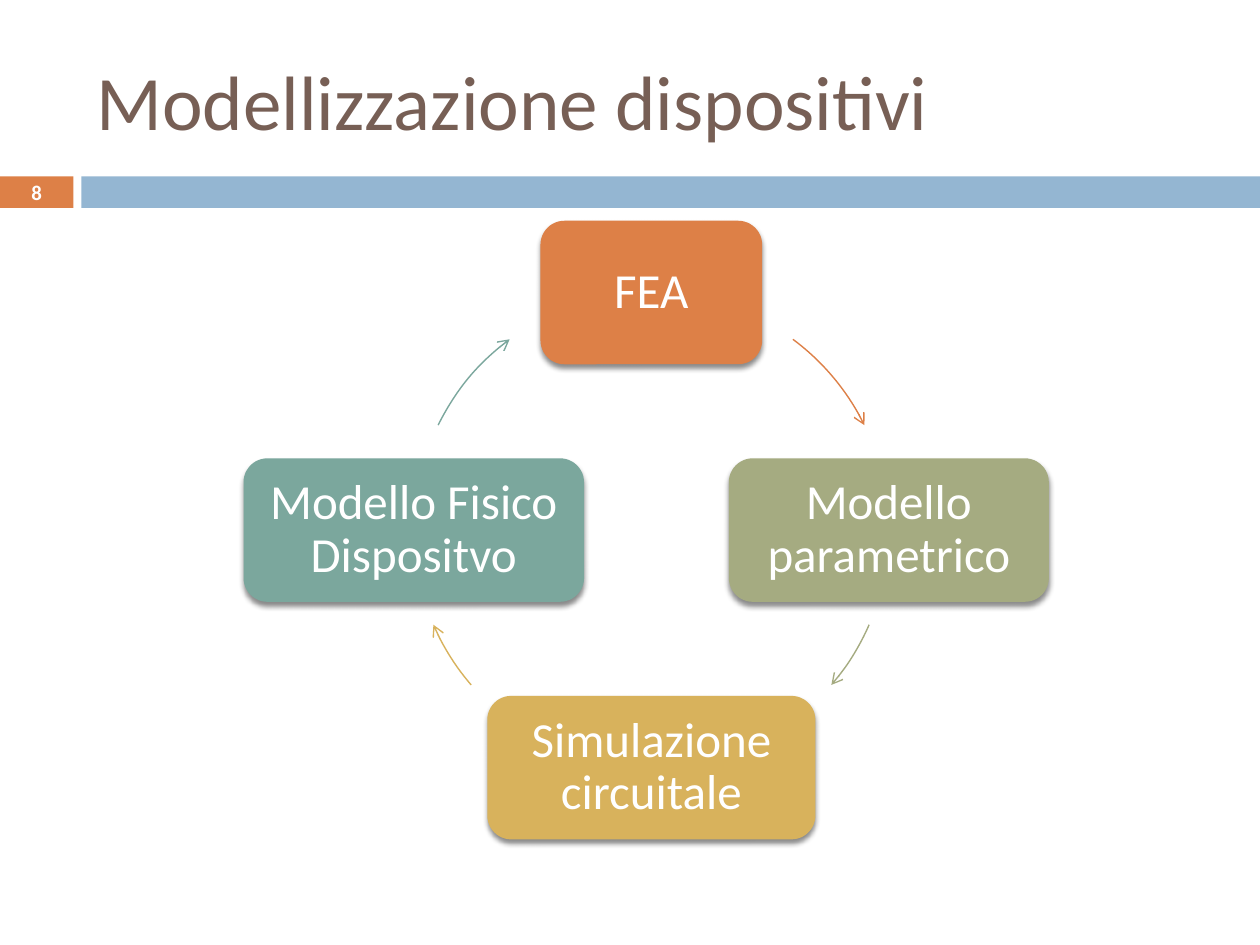
import math
import pptx
import pptx.util
import pptx.dml.color
import pptx.enum.shapes
import pptx.enum.text
import pptx.oxml
import pptx.oxml.ns
from lxml import etree

Pt = pptx.util.Pt
RGB = pptx.dml.color.RGBColor
SHAPE = pptx.enum.shapes.MSO_SHAPE
ALIGN = pptx.enum.text.PP_ALIGN
MIDDLE = pptx.enum.text.MSO_ANCHOR.MIDDLE
qn = pptx.oxml.ns.qn

WHITE = RGB(0xFF, 0xFF, 0xFF)
BROWN = RGB(0x77, 0x5F, 0x55)
ORANGE = RGB(0xDD, 0x80, 0x47)
BLUE = RGB(0x94, 0xB6, 0xD2)
OLIVE = RGB(0xA5, 0xAB, 0x81)
GOLD = RGB(0xD8, 0xB2, 0x5C)
TEAL = RGB(0x7B, 0xA7, 0x9D)

TITLE = "Modellizzazione dispositivi"
NUMBER = "8"
NODES = [
    ("FEA", ORANGE, 126.7, 270, 306.6, 333.8),
    ("Modello parametrico", OLIVE, 182.9, 0, 23.5, 40.7),
    ("Simulazione circuitale", GOLD, 187.5, 90, 139.3, 156.5),
    ("Modello Fisico Dispositvo", TEAL, 194.6, 180, 206.2, 233.4),
]
CX, CY, RADIUS = 372.2, 302.9, 135.75
NODE_H = 82
INSET = 6


def add_box(s, kind, x, y, w, h, color):
    sp = s.shapes.add_shape(kind, Pt(x), Pt(y), Pt(w), Pt(h))
    sp.shadow.inherit = False
    sp.fill.solid()
    sp.fill.fore_color.rgb = color
    sp.line.fill.background()
    return sp


def write(sp, text, size, color, align, inset=None, bold=False):
    tf = sp.text_frame
    tf.word_wrap = True
    tf.vertical_anchor = MIDDLE
    if inset is not None:
        tf.margin_left = tf.margin_right = Pt(inset)
        tf.margin_top = tf.margin_bottom = Pt(inset)
    p = tf.paragraphs[0]
    p.text = text
    p.alignment = align
    p.font.name = "Calibri"
    p.font.size = Pt(size)
    p.font.bold = bold
    p.font.color.rgb = color
    return p


def add_shadow(sp):
    effects = sp._element.spPr.find(qn("a:effectLst"))
    shadow = etree.SubElement(effects, qn("a:outerShdw"), blurRad=str(Pt(3)),
                              dist=str(Pt(2.4)), dir="5400000", rotWithShape="0")
    black = etree.SubElement(shadow, qn("a:srgbClr"), val="000000")
    etree.SubElement(black, qn("a:alpha"), val="45000")


def add_node(s, label, color, width, angle):
    x = CX + RADIUS * math.cos(math.radians(angle))
    y = CY + RADIUS * math.sin(math.radians(angle))
    sp = add_box(s, SHAPE.ROUNDED_RECTANGLE, x - width / 2, y - NODE_H / 2,
                 width, NODE_H, color)
    add_shadow(sp)
    p = write(sp, label, 28, WHITE, ALIGN.CENTER, INSET)
    p.line_spacing = 0.9


def add_arrow(s, color, start, end):
    sp = s.shapes.add_shape(SHAPE.ARC, Pt(CX - RADIUS), Pt(CY - RADIUS),
                            Pt(2 * RADIUS), Pt(2 * RADIUS))
    sp.shadow.inherit = False
    sp.fill.background()
    sp.adjustments[0] = start * 0.6
    sp.adjustments[1] = end * 0.6
    sp.line.color.rgb = color
    sp.line.width = Pt(0.79)
    etree.SubElement(sp.line._get_or_add_ln(), qn("a:tailEnd"), type="arrow")


def main():
    prs = pptx.Presentation()
    prs.slide_width, prs.slide_height = Pt(720), Pt(540)
    s = prs.slides.add_slide(prs.slide_layouts[6])

    number = add_box(s, SHAPE.RECTANGLE, 0, 100.8, 42, 18, ORANGE)
    write(number, NUMBER, 11.9, WHITE, ALIGN.CENTER, 0, True)
    add_box(s, SHAPE.RECTANGLE, 46.5, 100.8, 673.5, 18, BLUE)
    title = s.shapes.add_textbox(Pt(48), Pt(18), Pt(642), Pt(78))
    write(title, TITLE, 44, BROWN, ALIGN.LEFT)

    for label, color, width, angle, start, end in NODES:
        add_node(s, label, color, width, angle)
        add_arrow(s, color, start, end)

    prs.save("out.pptx")


if __name__ == "__main__":
    main()
